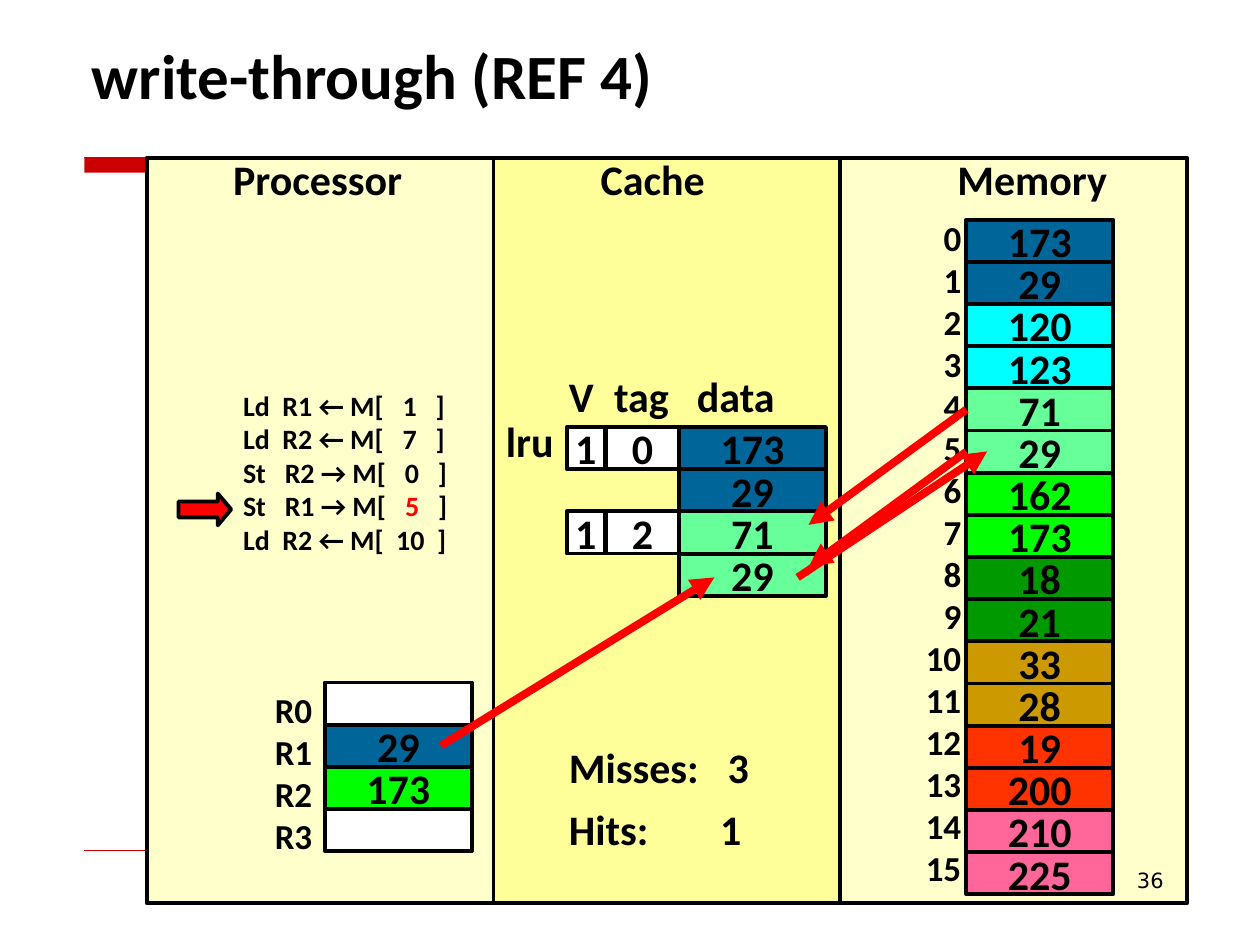
import pptx
import pptx.util
import pptx.dml.color
import pptx.enum.shapes
import pptx.enum.text
import pptx.oxml
import pptx.oxml.ns

Cm, Pt = pptx.util.Cm, pptx.util.Pt
SHAPE = pptx.enum.shapes.MSO_SHAPE
ALIGN = pptx.enum.text.PP_ALIGN
ANCHOR = pptx.enum.text.MSO_ANCHOR
FIT = pptx.enum.text.MSO_AUTO_SIZE

THEME = {
    "font": "Calibri", "number_font": "DejaVu Sans",
    "title": 36, "large": 24, "label": 20, "code": 16, "number": 12,
    "outline": 2.25, "arrow": 4.5,
    "black": "000000", "white": "FFFFFF", "red": "FF0000", "rule": "CC0000",
    "cream": "FFFFCC", "yellow": "FFFF99", "blue": "006699", "cyan": "00FFFF",
    "mint": "66FF99", "lime": "00FF00", "green": "009900", "gold": "CC9900",
    "orange": "FF3300", "pink": "FF6699",
}

# Content
TITLE = "write-through (REF 4)"
PAGE = "36"
PANELS = ["cream", "yellow", "cream"]
HEADINGS = [("Processor", 4.45, 4.04), ("Cache", 11.86, 2.64), ("Memory", 19.05, 3.61)]
MEMORY = [173, 29, 120, 123, 71, 29, 162, 173, 18, 21, 33, 28, 19, 200, 210, 225]
BLOCKS = ["blue", "cyan", "mint", "lime", "green", "gold", "orange", "pink"]
REGISTERS = [("", "white"), ("29", "blue"), ("173", "lime"), ("", "white")]
CACHE_DATA = [("173", "blue"), ("29", "blue"), ("71", "mint"), ("29", "mint")]
CACHE_LINES = [(0, "1", "0"), (2, "1", "2")]  # row, valid bit, tag
PROGRAM = [
    "Ld  R1 ← M[   1   ]",
    "Ld  R2 ← M[   7   ]",
    "St   R2 → M[   0   ]",
    [("St   R1 → M[   ", "black"), ("5", "red"), ("   ]", "black")],
    "Ld  R2 ← M[  10  ]",
]
COUNTS = [("Misses:\t3", 3.2, 0), ("Hits:\t1", 3.05, 7)]  # text, tab, space before

# Geometry in centimetres
ROW, CELL_WIDTH = 0.85, 2.96
PANEL_LEFT, PANEL_TOP, PANEL_WIDTH, PANEL_HEIGHT = 2.96, 3.18, 6.99, 15.03
MEMORY_LEFT, MEMORY_TOP = 19.48, 4.43
VALID_LEFT, TAG_LEFT, DATA_LEFT, CACHE_TOP = 11.43, 12.22, 13.69, 8.61
REGISTER_LEFT, REGISTER_TOP = 6.55, 13.76


def rgb(name):
    return pptx.dml.color.RGBColor.from_string(THEME[name])


def assign(target, values):
    for attribute, value in values.items():
        setattr(target, attribute, value)


def write(frame, lines, size, align=ALIGN.LEFT, font="font", bold=True, **layout):
    """Fill a text frame; a line is a string or a list of (text, colour) runs."""
    assign(frame, layout)
    for index, line in enumerate(lines):
        paragraph = frame.add_paragraph() if index else frame.paragraphs[0]
        paragraph.alignment = align
        for words, colour in [(line, "black")] if isinstance(line, str) else line:
            run = paragraph.add_run()
            run.text = words
            assign(run.font, {"name": THEME[font], "size": Pt(THEME[size]), "bold": bold})
            run.font.color.rgb = rgb(colour)


def add_label(slide, box, lines, size="large", wrap=False, **style):
    label = slide.shapes.add_textbox(*map(Cm, box))
    write(label.text_frame, lines, size, word_wrap=wrap,
          auto_size=FIT.NONE if wrap else FIT.SHAPE_TO_FIT_TEXT, **style)
    return label.text_frame


def add_tabs(paragraph, *stops):
    properties = paragraph._p.get_or_add_pPr()
    tabs = pptx.oxml.parse_xml(f'<a:tabLst {pptx.oxml.ns.nsdecls("a")}/>')
    for stop in stops:
        tabs.append(pptx.oxml.parse_xml(
            f'<a:tab {pptx.oxml.ns.nsdecls("a")} pos="{Cm(stop)}" algn="l"/>'))
    properties.append(tabs)


def add_block(slide, box, fill, kind=SHAPE.RECTANGLE, outline="black"):
    block = slide.shapes.add_shape(kind, *map(Cm, box))
    block.shadow.inherit = False
    block.fill.solid()
    block.fill.fore_color.rgb = rgb(fill)
    if outline:
        block.line.color.rgb = rgb(outline)
        block.line.width = Pt(THEME["outline"])
    else:
        block.line.fill.background()
    return block


def add_cell(slide, left, top, row, text, fill="white", width=CELL_WIDTH):
    cell = add_block(slide, (left, top + row * ROW, width, ROW), fill)
    if text:
        write(cell.text_frame, [text], "large", ALIGN.CENTER,
              word_wrap=False, vertical_anchor=ANCHOR.MIDDLE)
    return cell


def add_line(slide, start, end, colour, width, head=False):
    line = slide.shapes.add_connector(
        pptx.enum.shapes.MSO_CONNECTOR.STRAIGHT, *map(Cm, (*start, *end)))
    line.line.color.rgb = rgb(colour)
    line.line.width = Pt(width)
    namespace = pptx.oxml.ns.nsdecls("a")
    if head:
        line.line._get_or_add_ln().append(
            pptx.oxml.parse_xml(f'<a:tailEnd {namespace} type="triangle"/>'))
    line._element.spPr.append(pptx.oxml.parse_xml(f"<a:effectLst {namespace}/>"))
    return line


def add_frame(slide):
    """Title, rules and the three headed panels."""
    title = slide.shapes.title
    assign(title, {"left": Cm(1.6), "top": Cm(0.84), "width": Cm(22.23), "height": Cm(1.55)})
    write(title.text_frame, [TITLE], "title", word_wrap=True,
          auto_size=FIT.NONE, vertical_anchor=ANCHOR.BOTTOM)
    add_block(slide, (1.7, 3.18, 12.93, 0.3), "rule", outline=None)
    add_line(slide, (1.7, 3.18), (23.8, 3.18), "rule", 0.75)
    add_line(slide, (1.7, 17.15), (23.7, 17.15), "rule", 0.25)
    for index, fill in enumerate(PANELS):
        add_block(slide, (PANEL_LEFT + index * PANEL_WIDTH, PANEL_TOP,
                          PANEL_WIDTH, PANEL_HEIGHT), fill)
    for heading, left, width in HEADINGS:
        add_label(slide, (left, 2.97, width, 1.27), [heading])


def add_processor(slide):
    add_label(slide, (4.65, 7.7, 4.83, 3.68), PROGRAM, "code")
    pointer = add_block(slide, (3.6, 9.95, 1.06, 0.64), "red", SHAPE.RIGHT_ARROW)
    pointer.adjustments[1] = 0.42
    names = [f"R{index}" for index in range(len(REGISTERS))]
    add_label(slide, (5.29, 13.76, 1.27, 3.68), names, "label")
    for row, (value, fill) in enumerate(REGISTERS):
        add_cell(slide, REGISTER_LEFT, REGISTER_TOP, row, value, fill)


def add_cache(slide):
    header = add_label(slide, (11.22, 7.34, 5.2, 1.27), ["V\ttag\tdata"], wrap=True)
    add_tabs(header.paragraphs[0], 0.91, 2.58)
    add_label(slide, (9.95, 8.26, 1.47, 1.27), ["lru"])
    for row, valid, tag in CACHE_LINES:
        add_cell(slide, TAG_LEFT, CACHE_TOP, row, tag, width=1.47)
        add_cell(slide, VALID_LEFT, CACHE_TOP, row, valid, width=0.76)
    for row, (value, fill) in enumerate(CACHE_DATA):
        add_cell(slide, DATA_LEFT, CACHE_TOP, row, value, fill)
    counts = add_label(slide, (11.22, 14.82, 4.7, 2.64),
                       [text for text, _, _ in COUNTS], wrap=True)
    for paragraph, (_, stop, gap) in zip(counts.paragraphs, COUNTS):
        add_tabs(paragraph, stop)
        if gap:
            paragraph.space_before = Pt(gap)


def add_memory(slide):
    addresses = [str(index) for index in range(len(MEMORY))]
    add_label(slide, (18.39, 4.24, 1.24, 13.94), addresses, "label", align=ALIGN.RIGHT)
    return [add_cell(slide, MEMORY_LEFT, MEMORY_TOP, row, str(value), BLOCKS[row // 2])
            for row, value in enumerate(MEMORY)]


def main():
    deck = pptx.Presentation()
    assign(deck, {"slide_width": Cm(25.4), "slide_height": Cm(19.05)})
    slide = deck.slides.add_slide(deck.slide_layouts[5])
    add_frame(slide)
    add_processor(slide)
    add_cache(slide)
    memory = add_memory(slide)
    for start, end in [((8.89, 15.03), (14.4, 11.64)), ((16.08, 11.64), (19.9, 9.1))]:
        add_line(slide, start, end, "red", THEME["arrow"], head=True)
    for address, end in [(4, (16.3, 10.58)), (5, (16.3, 11.43))]:
        start = (MEMORY_LEFT, MEMORY_TOP + (address + 0.5) * ROW)
        fetch = add_line(slide, start, end, "red", THEME["arrow"], head=True)
        fetch.begin_connect(memory[address], 1)
    add_label(slide, (19.48, 17.36, 4.23, 1.32), [PAGE], "number", wrap=True,
              align=ALIGN.RIGHT, font="number_font", bold=False)
    deck.save("out.pptx")


if __name__ == "__main__":
    main()
